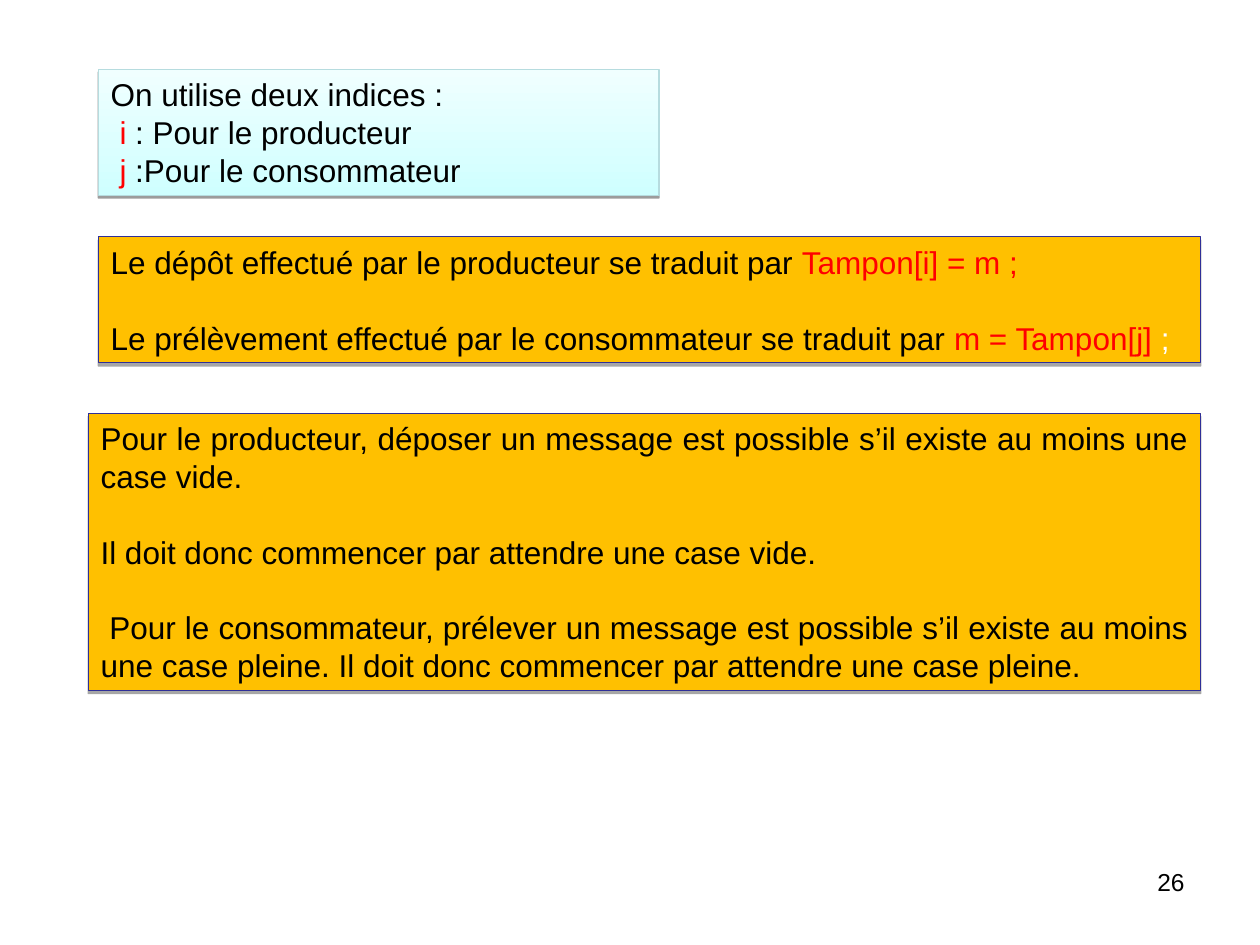
from lxml.etree import SubElement
from pptx import Presentation
from pptx.dml.color import RGBColor
from pptx.enum.shapes import MSO_SHAPE
from pptx.enum.text import MSO_ANCHOR, PP_ALIGN
from pptx.oxml.ns import qn
from pptx.util import Inches, Pt

BLACK, RED, WHITE = "000000", "FF0000", "FFFFFF"
AMBER, NAVY = "FFC000", "2F2F98"
LINE_HEIGHT = 1.2  # share of the font size
FIRST_INDENT = 0.07
RIGHT_EDGE = 9.53

# A paragraph is (runs, indented, blank line above); a run is (text, colour).
indices = [
    ([("On utilise deux indices :", BLACK)], False, False),
    ([("i", RED), (" : Pour le producteur", BLACK)], True, False),
    ([("j", RED), (" :Pour le consommateur", BLACK)], True, False),
]
operations = [
    ([("Le dépôt effectué par le producteur se traduit par ", BLACK),
      ("Tampon[i] = m ;", RED)], False, False),
    ([("Le prélèvement effectué par le consommateur se traduit par ", BLACK),
      ("m = Tampon[j] ", RED), (";", WHITE)], False, True),
]
conditions = [
    ([("Pour le producteur, déposer un message est possible s’il existe "
       "au moins une case vide.", BLACK)], False, False),
    ([("Il doit donc commencer par attendre une case vide.", BLACK)], False, True),
    ([("Pour le consommateur, prélever un message est possible s’il existe "
       "au moins une case pleine. Il doit donc commencer par attendre "
       "une case pleine.", BLACK)], True, True),
]
page_number = [([("26", BLACK)], False, False)]

# content, left, top, width, height, fill colours, outline, alignment,
# shadow opacity in percent, shadow distance in points
panels = [
    (indices, 0.78, 0.55, 4.45, 1, ("F0FFFF", "CFFFFF"), "B6DCDF",
     PP_ALIGN.LEFT, 38, 1.6),
    (operations, 0.78, 1.88, RIGHT_EDGE - 0.78, 1, (AMBER,), NAVY,
     PP_ALIGN.LEFT, 35, 1.8),
    (conditions, 0.7, 3.28, RIGHT_EDGE - 0.7, 2.2, (AMBER,), NAVY,
     PP_ALIGN.JUSTIFY, 35, 1.8),
]


def rgb(colour):
    return RGBColor.from_string(colour)


def write(frame, paragraphs, size=18, align=PP_ALIGN.LEFT, font="Arial"):
    frame.word_wrap = True
    frame.vertical_anchor = MSO_ANCHOR.TOP
    for number, (runs, indented, blank_above) in enumerate(paragraphs):
        paragraph = frame.add_paragraph() if number else frame.paragraphs[0]
        paragraph.alignment = align
        paragraph.line_spacing = Pt(size * LINE_HEIGHT)
        if blank_above:
            paragraph.space_before = Pt(size * LINE_HEIGHT)
        if indented:
            paragraph._p.get_or_add_pPr().set("indent", str(Inches(FIRST_INDENT)))
        for text, colour in runs:
            run = paragraph.add_run()
            run.text = text
            run.font.name, run.font.size = font, Pt(size)
            run.font.color.rgb = rgb(colour)


def paint(fill, colours):
    """Fill with one colour, or with a gradient running downwards."""
    if len(colours) == 1:
        fill.solid()
        fill.fore_color.rgb = rgb(colours[0])
        return
    fill.gradient()
    fill.gradient_angle = 270
    for stop, position, colour in zip(fill.gradient_stops, (0, 1), colours):
        stop.position = position
        stop.color.rgb = rgb(colour)


def drop_shadow(shape, opacity, distance):
    shape.shadow.inherit = False
    effects = shape._element.spPr.find(qn("a:effectLst"))
    shadow = SubElement(effects, qn("a:outerShdw"), blurRad="0",
                        dist=str(Pt(distance)), dir="5400000", rotWithShape="0")
    colour = SubElement(shadow, qn("a:srgbClr"), val=BLACK)
    SubElement(colour, qn("a:alpha"), val=str(opacity * 1000))


presentation = Presentation()
presentation.slide_width, presentation.slide_height = Inches(10), Inches(7.5)
slide = presentation.slides.add_slide(presentation.slide_layouts[6])

footer = slide.shapes.add_textbox(*map(Inches, (7.17, 6.83, 2.33, 0.52)))
write(footer.text_frame, page_number, size=14, align=PP_ALIGN.RIGHT)

for content, *place, colours, outline, align, opacity, distance in panels:
    panel = slide.shapes.add_shape(MSO_SHAPE.RECTANGLE, *map(Inches, place))
    paint(panel.fill, colours)
    panel.line.color.rgb = rgb(outline)
    panel.line.width = Pt(0.75)
    drop_shadow(panel, opacity, distance)
    write(panel.text_frame, content, align=align)

presentation.save("out.pptx")
